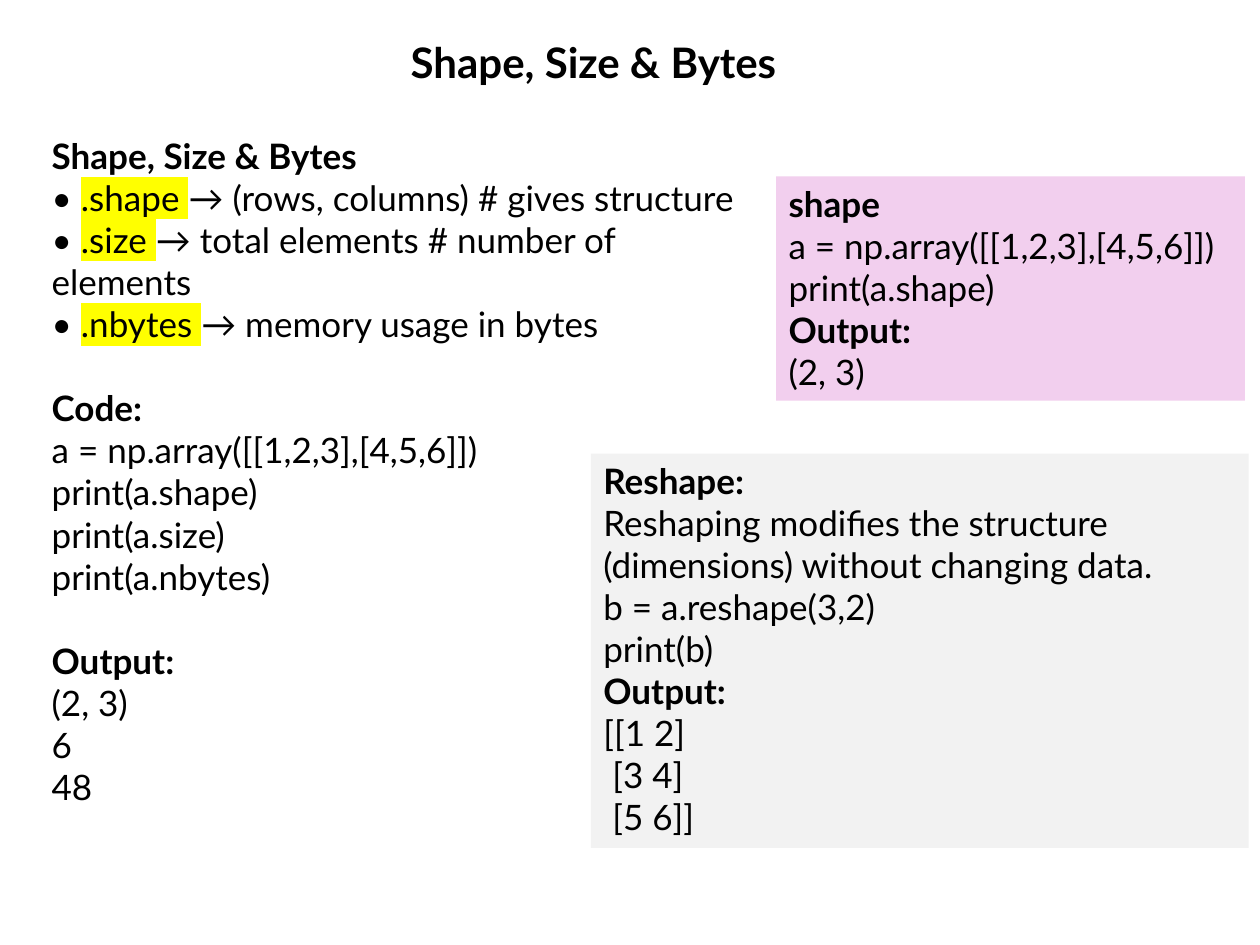
from dataclasses import dataclass

from lxml import etree
from pptx import Presentation
from pptx import util as u
from pptx.dml.color import RGBColor
from pptx.enum import shapes, text
from pptx.oxml import ns


@dataclass(frozen=True)
class Theme:
    font: str = "Lato"
    title: int = 24
    body: int = 20
    ink: str = "000000"
    mark: str = "FFFF00"
    pink: str = "F2CFEE"
    grey: str = "F2F2F2"


class Deck:
    """Holds the theme and the current slide."""

    def __init__(self, prs, theme):
        self.theme = theme
        self.s = prs.slides.add_slide(prs.slide_layouts[1])

    def place(self, sp, box):
        sp.left, sp.top, sp.width, sp.height = (u.Inches(v) for v in box)

    def run(self, p, content, size, style=""):
        """Style is "", "bold" or "mark" (highlighted)."""
        r = p.add_run()
        r.text = content
        r.font.size = u.Pt(size)
        r.font.bold = style == "bold"
        r.font.color.rgb = RGBColor.from_string(self.theme.ink)
        if style == "mark":
            hl = etree.SubElement(r.font._element, ns.qn("a:highlight"))
            etree.SubElement(hl, ns.qn("a:srgbClr"), val=self.theme.mark)
        r.font.name = self.theme.font

    def fill_text(self, sp, paragraphs, size, wrap=True):
        """Each paragraph is (runs, space before in points)."""
        tf = sp.text_frame
        tf.word_wrap = wrap
        tf.auto_size = text.MSO_AUTO_SIZE.SHAPE_TO_FIT_TEXT
        tf.vertical_anchor = text.MSO_ANCHOR.TOP
        for i, (runs, before) in enumerate(paragraphs):
            p = tf.add_paragraph() if i else tf.paragraphs[0]
            p.alignment = text.PP_ALIGN.LEFT
            p.space_before = u.Pt(before)
            pPr = p._p.get_or_add_pPr()
            pPr.set("marL", "0")
            pPr.set("indent", "0")
            etree.SubElement(pPr, ns.qn("a:buNone"))
            for content, style in runs:
                self.run(p, content, size, style)

    def title(self, content, box):
        sp = self.s.shapes.title
        self.place(sp, box)
        self.fill_text(sp, [([(content, "bold")], 0)], self.theme.title, wrap=False)

    def body(self, paragraphs, box):
        sp = self.s.placeholders[1]
        self.place(sp, box)
        self.fill_text(sp, paragraphs, self.theme.body)

    def panel(self, paragraphs, box, fill):
        sp = self.s.shapes.add_shape(
            shapes.MSO_SHAPE.RECTANGLE, *(u.Inches(v) for v in box))
        sp.shadow.inherit = False
        sp.fill.solid()
        sp.fill.fore_color.rgb = RGBColor.from_string(fill)
        sp.line.fill.background()
        self.fill_text(sp, paragraphs, self.theme.body)


def head(content, before=0):
    return [(content, "bold")], before


def lines(*contents):
    return [([(content, "")], 0) for content in contents]


def attribute(name, meaning):
    return [("• ", ""), (f"{name} ", "mark"), (f"→ {meaning}", "")], 0


def main():
    prs = Presentation()
    prs.slide_width, prs.slide_height = u.Inches(10), u.Inches(7.5)
    theme = Theme()
    deck = Deck(prs, theme)
    heading = "Shape, Size & Bytes"
    array = "a = np.array([[1,2,3],[4,5,6]])"
    gap = theme.body * 1.2  # one line of body text

    # Title
    deck.title(heading, (3.16, 0.24, 3.15, 0.5))

    # Array attributes with code and output
    deck.body([
        head(heading),
        attribute(".shape", "(rows, columns) # gives structure"),
        attribute(".size", "total elements # number of elements"),
        attribute(".nbytes", "memory usage in bytes"),
        head("Code:", gap),
        *lines(array, "print(a.shape)", "print(a.size)", "print(a.nbytes)"),
        head("Output:", gap),
        *lines("(2, 3)", "6", "48"),
    ], (0.31, 1.02, 5.64, 5.15))

    # Reshape panel
    deck.panel([
        head("Reshape:"),
        *lines("Reshaping modifies the structure (dimensions) "
               "without changing data.",
               "b = a.reshape(3,2)", "print(b)"),
        head("Output:"),
        *lines("[[1 2]", " [3 4]", " [5 6]]"),
    ], (4.69, 3.6, 5.22, 3.13), theme.grey)

    # Shape panel
    deck.panel([
        head("shape"),
        *lines(array, "print(a.shape)"),
        head("Output:"),
        *lines("(2, 3)"),
    ], (6.16, 1.4, 3.72, 1.78), theme.pink)

    prs.save("out.pptx")


if __name__ == "__main__":
    main()
